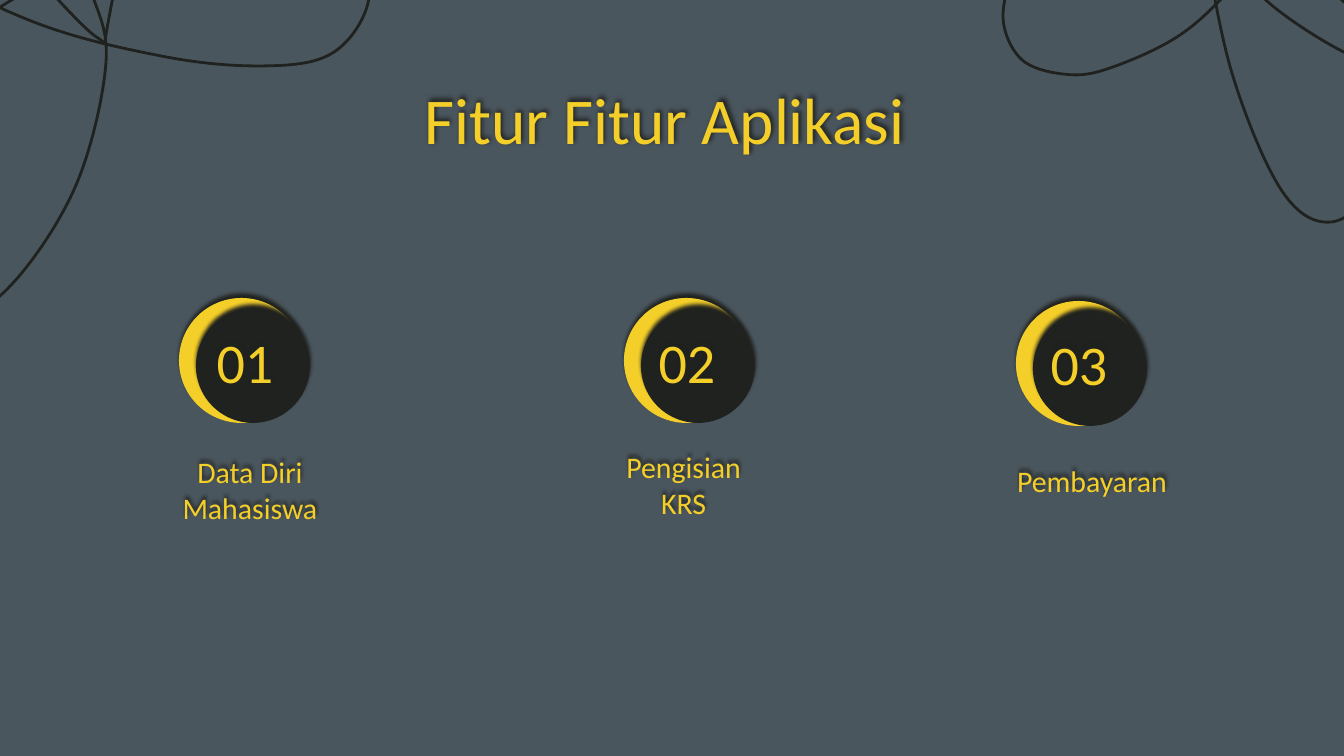
"""Build the slide that lists the app's features."""
from copy import deepcopy
from dataclasses import dataclass

from lxml.etree import SubElement
from pptx import Presentation
from pptx.dml.color import RGBColor
from pptx.enum.shapes import MSO_SHAPE
from pptx.enum.text import MSO_ANCHOR, MSO_AUTO_SIZE, PP_ALIGN
from pptx.oxml.ns import qn
from pptx.util import Pt


@dataclass(frozen=True)
class Theme:
    back: str = "4A565E"
    gold: str = "F5CF29"
    dark: str = "20221F"
    font: str = "Calibri"
    head: int = 35
    number: int = 30
    label: int = 16
    stroke: float = 1.5
    blur: float = 2.2
    drop: float = 2.2
    angle: int = 275


THEME = Theme()
SCALE = 914400 / 134.4
WIDTH, HEIGHT = 1344, 756
MOON, DISC = 125, 114

PETALS = [
    [(106, 63), (77, 183), (15, 281), (-48, 323), (-114, 316), (-159, 285),
     (-179, 234), (-160, 173), (-101, 89), (-24, 23), (87, -42), (175, -81),
     (269, -90), (321, -79), (362, -47), (367, 7), (331, 54), (263, 66),
     (161, 56), (26, 19), (-124, -60), (-198, -138), (-176, -212),
     (-108, -227), (-23, -183), (55, -91), (91, -9)],
    [(108, 23), (132, -142), (122, -296), (77, -348), (5, -321), (-35, -254),
     (-36, -144), (8, -59), (50, -9), (98, 38)],
    [(1195, -99), (1185, -203), (1208, -297), (1247, -348), (1301, -362),
     (1345, -349), (1375, -314), (1378, -259), (1353, -177), (1310, -103),
     (1239, -20), (1180, 35), (1107, 69), (1063, 74), (1021, 59), (1003, 17),
     (1019, -30), (1068, -58), (1153, -78), (1271, -86), (1413, -63),
     (1493, -22), (1496, 43), (1446, 74), (1366, 62), (1279, 11), (1227, -44)],
    [(1204, -67), (1232, 73), (1282, 191), (1332, 222), (1382, 180),
     (1395, 114), (1366, 27), (1306, -28), (1261, -56), (1210, -81)],
]

FEATURES = [
    ("01", (179, 298), (179, 335), ["Data Diri", "Mahasiswa"], (106, 434, 288, 105)),
    ("02", (624, 298), (621, 335), ["Pengisian ", "KRS "], (543, 449, 288, 85)),
    ("03", (1016, 301), (1013, 337), ["Pembayaran"], (953, 452, 278, 60)),
]


def px(*sizes):
    """Turn pixel lengths into a list of EMU."""
    return [round(size * SCALE) for size in sizes]


def tint(name):
    """Give the colour for a hex name."""
    return RGBColor.from_string(name)


def shade(shape):
    """Cast the theme's soft shadow from a shape."""
    shape.shadow.inherit = False
    effects = shape._element.spPr.find(qn("a:effectLst"))
    cast = SubElement(effects, qn("a:outerShdw"), blurRad=str(Pt(THEME.blur)),
                      dist=str(Pt(THEME.drop)), dir=str(THEME.angle * 60000),
                      algn="ctr", rotWithShape="0")
    SubElement(cast, qn("a:srgbClr"), val=THEME.dark)


def write(shape, lines, *, size, color=THEME.gold, anchor=MSO_ANCHOR.MIDDLE,
          align=PP_ALIGN.CENTER):
    """Fill a shape with lines of formatted text in one paragraph."""
    frame = shape.text_frame
    frame.word_wrap = True
    frame.auto_size = MSO_AUTO_SIZE.NONE
    frame.vertical_anchor = anchor
    frame.margin_left = frame.margin_right = Pt(7.2)
    frame.margin_top = frame.margin_bottom = Pt(7.2)
    para = frame.paragraphs[0]
    para.alignment = align
    for index, line in enumerate(lines):
        if index:
            para.add_line_break()
        run = para.add_run()
        run.text = line
        run.font.name = THEME.font
        run.font.size = Pt(size)
        run.font.color.rgb = tint(color)
    for mark in para._p.findall(qn("a:br")):
        mark.append(deepcopy(run._r.rPr))


def note(slide, box, lines, **style):
    """Add a shadowed text box."""
    shape = slide.shapes.add_textbox(*px(*box))
    write(shape, lines, **style)
    shade(shape)


def head(slide, box, text):
    """Place the slide title."""
    shape = slide.shapes.title
    shape.left, shape.top, shape.width, shape.height = px(*box)
    write(shape, [text], size=THEME.head, anchor=MSO_ANCHOR.TOP)
    shade(shape)


def smooth(shape):
    """Turn a closed outline's straight sides into one flowing curve."""
    route = shape._element.find(".//" + qn("a:path"))
    sides = route.findall(qn("a:lnTo"))
    knots = [(int(side[0].get("x")), int(side[0].get("y"))) for side in sides]
    count = len(knots)
    for index, side in enumerate(sides):
        prior, start, end, after = (knots[(index + step) % count] for step in (-2, -1, 0, 1))
        first = [s + (e - p) / 6 for p, s, e in zip(prior, start, end)]
        second = [e - (a - s) / 6 for s, e, a in zip(start, end, after)]
        side.tag = qn("a:cubicBezTo")
        side.clear()
        for x, y in (first, second, end):
            SubElement(side, qn("a:pt"), x=str(round(x)), y=str(round(y)))


def petal(slide, knots):
    """Draw a closed petal outline through its knots."""
    start, *rest = [px(*knot) for knot in knots]
    pen = slide.shapes.build_freeform(*start, scale=1.0)
    pen.add_line_segments([*rest, start], close=True)
    shape = pen.convert_to_shape()
    smooth(shape)
    shape.shadow.inherit = False
    shape.fill.background()
    shape.line.color.rgb = tint(THEME.dark)
    shape.line.width = Pt(THEME.stroke)


def moon(slide, left, top):
    """Draw a gold crescent as a dark disc over a gold one."""
    group = slide.shapes.add_group_shape()
    for x, y, size, color in ((left, top, MOON, THEME.gold),
                              (left + 17, top + 11, DISC, THEME.dark)):
        disc = group.shapes.add_shape(MSO_SHAPE.OVAL, *px(x, y, size, size))
        disc.fill.solid()
        disc.fill.fore_color.rgb = tint(color)
        disc.line.fill.background()
        shade(disc)


def main():
    """Build and save the slide."""
    deck = Presentation()
    deck.slide_width, deck.slide_height = px(WIDTH, HEIGHT)
    slide = deck.slides.add_slide(deck.slide_layouts[5])
    slide.background.fill.solid()
    slide.background.fill.fore_color.rgb = tint(THEME.back)
    for knots in PETALS:
        petal(slide, knots)
    head(slide, (106, 66, 1133, 85), "Fitur Fitur Aplikasi ")
    for number, disc, spot, label, box in FEATURES:
        moon(slide, *disc)
        note(slide, (*spot, 132, 52), [number], size=THEME.number)
        note(slide, box, label, size=THEME.label, anchor=MSO_ANCHOR.BOTTOM)
    deck.save("out.pptx")


if __name__ == "__main__":
    main()
